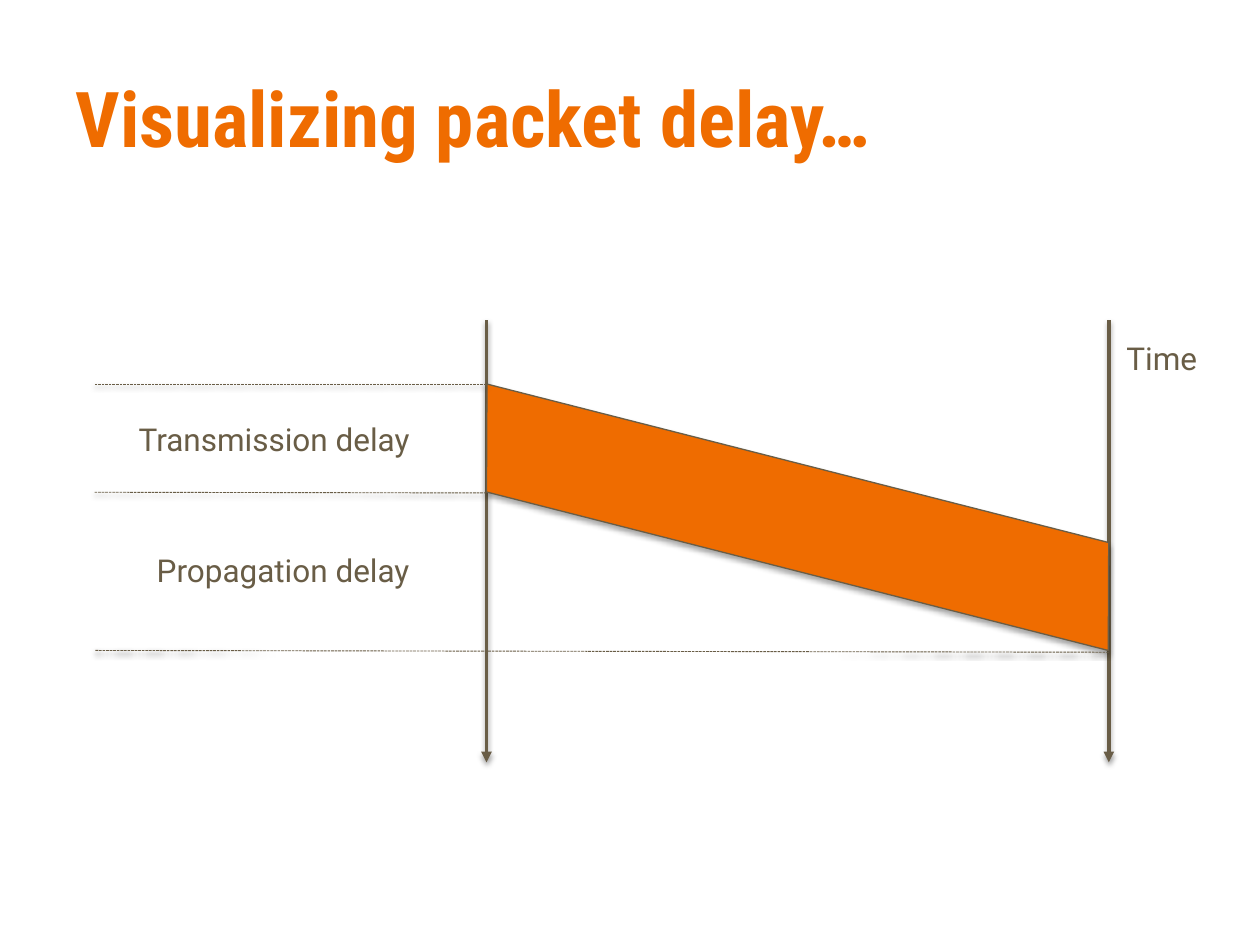
"""Build a slide that shows packet delay as a time diagram."""
from lxml import etree
from pptx import Presentation
from pptx.dml.color import RGBColor
from pptx.enum.dml import MSO_LINE
from pptx.enum.shapes import MSO_CONNECTOR, MSO_SHAPE
from pptx.enum.text import MSO_ANCHOR, MSO_AUTO_SIZE, PP_ALIGN
from pptx.oxml.ns import qn
from pptx.util import Pt

STRAIGHT = MSO_CONNECTOR.STRAIGHT
PARALLELOGRAM = MSO_SHAPE.PARALLELOGRAM
DASH = MSO_LINE.SQUARE_DOT
LEFT, RIGHT = PP_ALIGN.LEFT, PP_ALIGN.RIGHT
MIDDLE = MSO_ANCHOR.MIDDLE
FIT_SHAPE = MSO_AUTO_SIZE.SHAPE_TO_FIT_TEXT

ORANGE = RGBColor(0xEF, 0x6C, 0x00)
BROWN = RGBColor(0x69, 0x5D, 0x46)

SENDER_X, RECEIVER_X, GUIDE_X = 278, 633.6, 54
AXIS_TOP, AXIS_BOTTOM = 183, 435.6


def add_shadow(shape, opacity, distance):
    """Give the shape a soft shadow that falls straight down."""
    effects = etree.SubElement(shape._element.spPr, qn("a:effectLst"))
    shadow = etree.SubElement(
        effects, qn("a:outerShdw"), blurRad=str(Pt(3.1)), dist=str(Pt(distance)),
        dir="5400000", rotWithShape="0")
    color = etree.SubElement(shadow, qn("a:srgbClr"), val="000000")
    etree.SubElement(color, qn("a:alpha"), val=str(opacity * 1000))


def add_line(slide, start, end, width):
    """Draw a straight brown line with a shadow and return it."""
    line = slide.shapes.add_connector(STRAIGHT, *map(Pt, start + end))
    line.line.color.rgb = BROWN
    line.line.width = Pt(width)
    add_shadow(line, 38, 1.6)
    return line


def add_time_axis(slide, x):
    """Draw a vertical time arrow."""
    axis = add_line(slide, (x, AXIS_TOP), (x, AXIS_BOTTOM), 2)
    etree.SubElement(axis.line._get_or_add_ln(), qn("a:tailEnd"), type="triangle")


def add_guide(slide, start, end_y):
    """Draw a dashed guide out to the left margin."""
    guide = add_line(slide, start, (GUIDE_X, end_y), 0.5)
    guide.line.dash_style = DASH


def add_packet(slide):
    """Draw the slanted band of the packet between the two axes."""
    packet = slide.shapes.add_shape(
        PARALLELOGRAM, Pt(265), Pt(265.7), Pt(381.6), Pt(59.8))
    packet.adjustments[0] = 0.25
    packet.rotation = 14.3
    packet._element.spPr.xfrm.set("flipV", "1")
    packet.fill.solid()
    packet.fill.fore_color.rgb = ORANGE
    packet.line.color.rgb = BROWN
    packet.line.width = Pt(0.75)
    add_shadow(packet, 35, 1.8)


def write(para, text, font, size, color, bold=False):
    """Add one formatted run to the paragraph."""
    span = para.add_run()
    span.text = text
    span.font.name = font
    span.font.size = Pt(size)
    span.font.color.rgb = color
    span.font.bold = bold


def add_label(slide, text, left, top, width, wrap=True):
    """Add a right-aligned label."""
    box = slide.shapes.add_textbox(Pt(left), Pt(top), Pt(width), Pt(29))
    frame = box.text_frame
    frame.word_wrap = wrap
    frame.auto_size = FIT_SHAPE
    para = frame.paragraphs[0]
    para.alignment = RIGHT
    write(para, text, "Roboto", 18, BROWN)


def set_title(slide, text):
    """Place and format the title."""
    title = slide.shapes.title
    title.left, title.top, title.width, title.height = map(Pt, (36, 21.6, 648, 90))
    title.text_frame.vertical_anchor = MIDDLE
    para = title.text_frame.paragraphs[0]
    para.alignment = LEFT
    write(para, text, "Roboto Condensed", 44, ORANGE, True)


def main():
    """Build and save the deck."""
    deck = Presentation()
    deck.slide_width, deck.slide_height = Pt(720), Pt(540)
    slide = deck.slides.add_slide(deck.slide_layouts[5])
    set_title(slide, "Visualizing packet delay…")
    for x in (SENDER_X, RECEIVER_X):
        add_time_axis(slide, x)
    add_packet(slide)
    add_guide(slide, (SENDER_X, 219.6), 219.6)
    add_guide(slide, (SENDER_X, 281.7), 281.3)
    add_guide(slide, (RECEIVER_X, 372.7), 371.7)
    add_label(slide, "Transmission delay", 65.5, 236.2, 175.7)
    add_label(slide, "Propagation delay", 78.5, 311.5, 162.7, wrap=False)
    add_label(slide, "Time", RECEIVER_X, 190, 57.6)
    deck.save("out.pptx")


if __name__ == "__main__":
    main()
